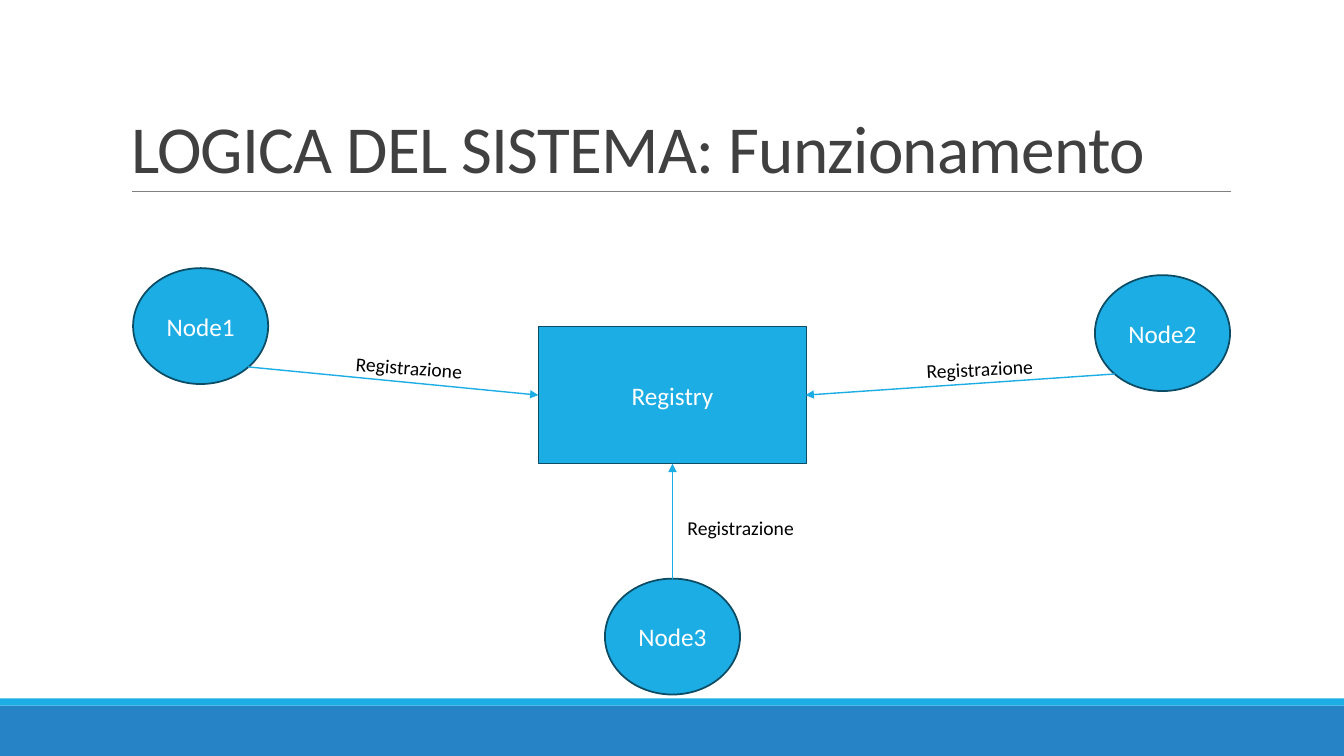
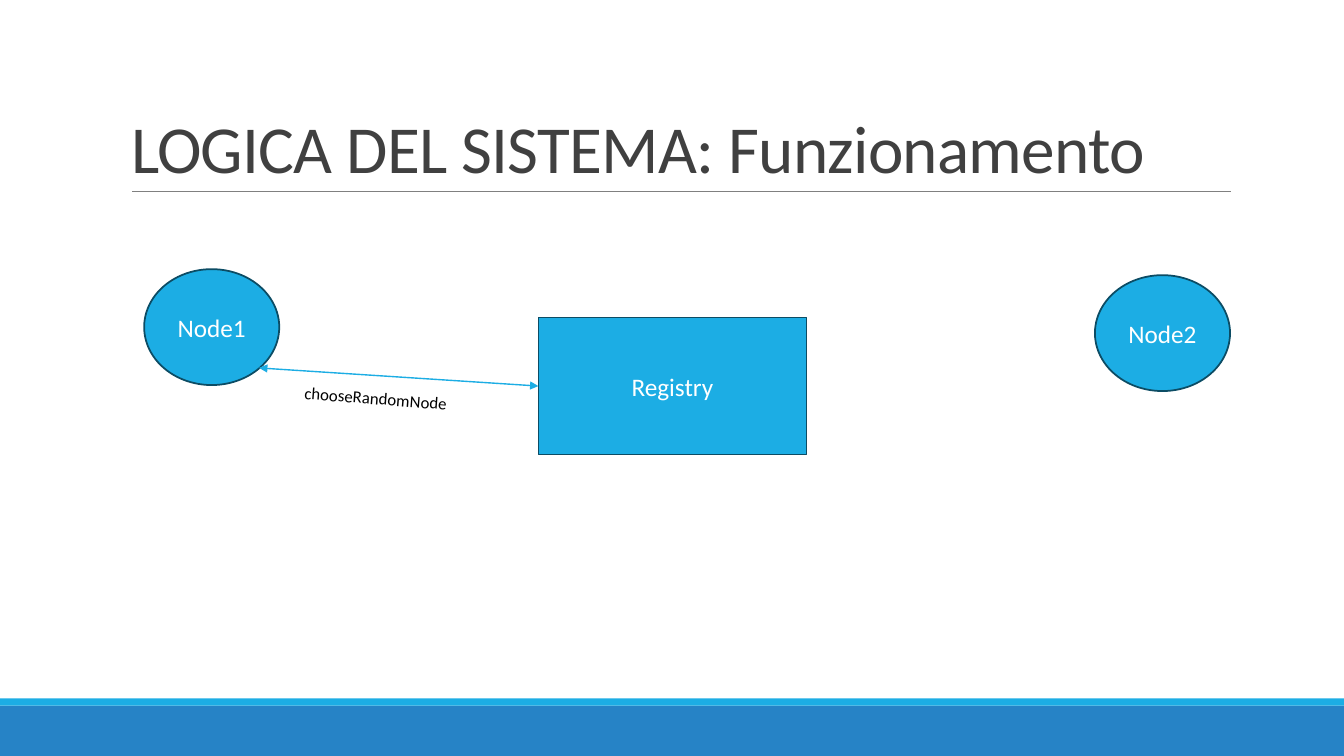
"""Build two slides showing how nodes register with and query a registry."""
import lxml.etree
import pptx
import pptx.dml.color
import pptx.enum.shapes
import pptx.enum.text
import pptx.oxml.ns
import pptx.util

Inches = pptx.util.Inches
Pt = pptx.util.Pt
qn = pptx.oxml.ns.qn
SHAPE = pptx.enum.shapes.MSO_SHAPE
ANCHOR = pptx.enum.text.MSO_ANCHOR
ALIGN = pptx.enum.text.PP_ALIGN
AUTO = pptx.enum.text.MSO_AUTO_SIZE

BLUE, DARK_BLUE, OUTLINE = "1CADE4", "2683C6", "0C4C64"
GREY, TITLE, WHITE, BLACK = "808080", "404040", "FFFFFF", "000000"
FONT = "Calibri"
NODE_W, NODE_H = 1.34, 1.15
REGISTRY_X, REGISTRY_W, REGISTRY_H = 5.34, 2.66, 1.36


def rgb(color):
    return pptx.dml.color.RGBColor.from_string(color)


def add_run(p, text, size, color):
    r = p.add_run()
    r.text = text
    r.font.name = FONT
    r.font.size = Pt(size)
    r.font.color.rgb = rgb(color)
    return r


slides = [
    {
        "registry_y": 3.24,
        "nodes": [("Node1", 1.32, 2.66), ("Node2", 10.86, 2.73), ("Node3", 6, 5.74)],
        "arrows": [
            (2.46, 3.64, 5.34, 3.92, ["tailEnd"]),
            (11.06, 3.71, 7.99, 3.92, ["tailEnd"]),
            (6.67, 5.74, 6.67, 4.6, ["tailEnd"]),
        ],
        "labels": [
            ("Registrazione", 3.43, 3.48, 1.27, 0.34, 4.3, 14),
            ("Registrazione", 9.09, 3.49, 1.27, 0.34, 357.2, 14),
            ("Registrazione", 6.72, 5.07, 1.27, 0.34, 0, 14),
        ],
    },
    {
        "registry_y": 3.15,
        "nodes": [("Node1", 1.43, 2.67), ("Node2", 10.86, 2.73)],
        "arrows": [(2.57, 3.65, 5.34, 3.83, ["headEnd", "tailEnd"])],
        "labels": [("chooseRandomNode", 2.92, 3.8, 1.63, 0.3, 4.3, 12)],
    },
]

prs = pptx.Presentation()
prs.slide_width = Inches(13.33)
prs.slide_height = Inches(7.5)
layout = prs.slide_layouts[5]

s = prs.slides.add_slide(layout)
for y, h, color in [(7, 0.5, DARK_BLUE), (6.93, 0.07, BLUE)]:
    band = s.shapes.add_shape(SHAPE.RECTANGLE, 0, Inches(y), prs.slide_width, Inches(h))
    band.shadow.inherit = False
    band.fill.solid()
    band.fill.fore_color.rgb = rgb(color)
    band.line.fill.background()
    layout.shapes.element.append(band.element)
rule = s.shapes.add_connector(
    pptx.enum.shapes.MSO_CONNECTOR.STRAIGHT, Inches(1.31), Inches(1.9), Inches(12.21), Inches(1.9))
rule.line.color.rgb = rgb(GREY)
rule.line.width = Pt(0.5)
lxml.etree.SubElement(rule.element.spPr, qn("a:effectLst"))
layout.shapes.element.append(rule.element)

for i, data in enumerate(slides):
    if i:
        s = prs.slides.add_slide(layout)

    title = s.shapes.title
    title.left, title.top = Inches(1.2), Inches(0.32)
    title.width, title.height = Inches(11), Inches(1.59)
    tf = title.text_frame
    tf.word_wrap = True
    tf.auto_size = AUTO.NONE
    tf.vertical_anchor = ANCHOR.BOTTOM
    p = tf.paragraphs[0]
    p.alignment = ALIGN.LEFT
    p.line_spacing = 0.85
    r = add_run(p, "LOGICA DEL SISTEMA: Funzionamento", 48, TITLE)
    r.font._element.set("spc", "-50")

    boxes = [("Registry", SHAPE.RECTANGLE, REGISTRY_X, data["registry_y"], REGISTRY_W, REGISTRY_H)]
    boxes += [(name, SHAPE.OVAL, x, y, NODE_W, NODE_H) for name, x, y in data["nodes"]]
    for name, kind, x, y, w, h in boxes:
        sp = s.shapes.add_shape(kind, Inches(x), Inches(y), Inches(w), Inches(h))
        sp.shadow.inherit = False
        sp.fill.solid()
        sp.fill.fore_color.rgb = rgb(BLUE)
        sp.line.color.rgb = rgb(OUTLINE)
        sp.line.width = Pt(1.25)
        sp.text_frame.vertical_anchor = ANCHOR.MIDDLE
        p = sp.text_frame.paragraphs[0]
        p.alignment = ALIGN.CENTER
        add_run(p, name, 18, WHITE)

    for x1, y1, x2, y2, ends in data["arrows"]:
        arrow = s.shapes.add_connector(
            pptx.enum.shapes.MSO_CONNECTOR.STRAIGHT, Inches(x1), Inches(y1), Inches(x2), Inches(y2))
        arrow.line.color.rgb = rgb(BLUE)
        arrow.line.width = Pt(1)
        for end in ends:
            lxml.etree.SubElement(arrow.line._get_or_add_ln(), qn("a:" + end), type="triangle")
        lxml.etree.SubElement(arrow.element.spPr, qn("a:effectLst"))

    for text, x, y, w, h, angle, size in data["labels"]:
        label = s.shapes.add_textbox(Inches(x), Inches(y), Inches(w), Inches(h))
        label.rotation = angle
        tf = label.text_frame
        tf.word_wrap = False
        tf.auto_size = AUTO.SHAPE_TO_FIT_TEXT
        add_run(tf.paragraphs[0], text, size, BLACK)

prs.save("out.pptx")
